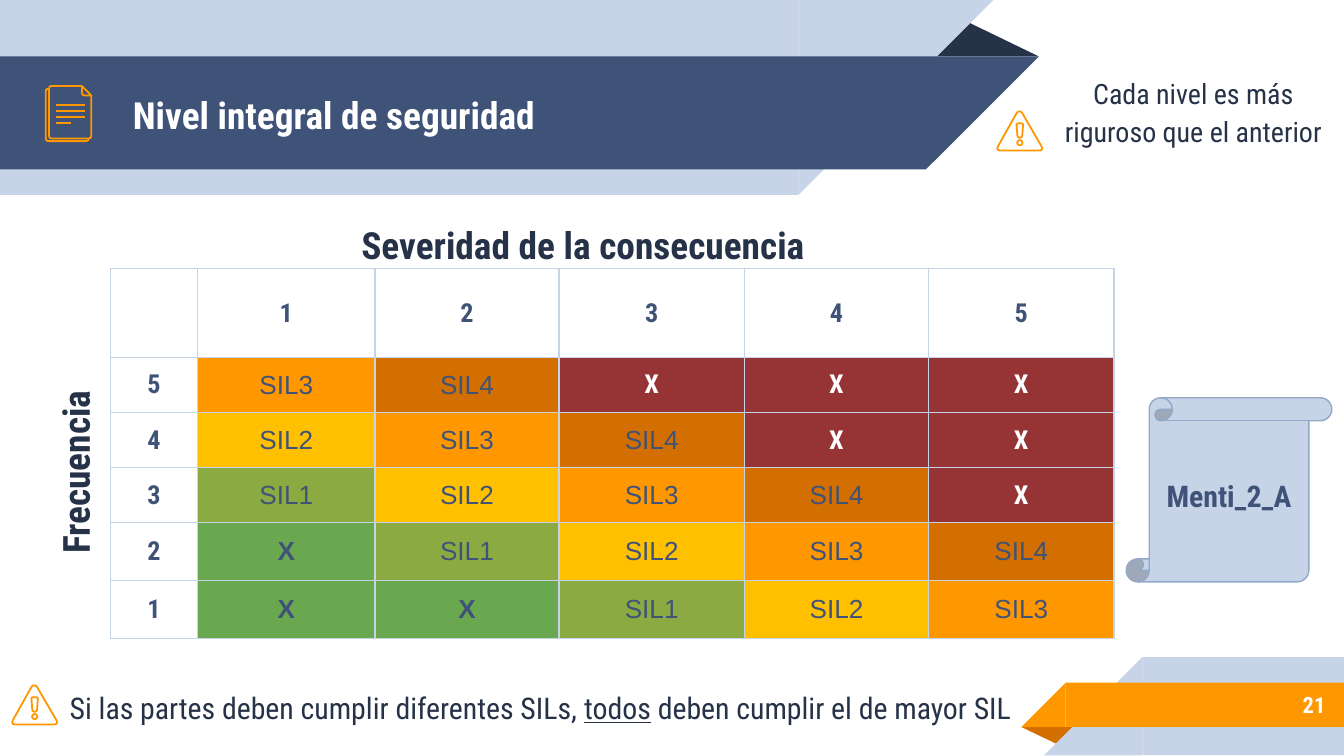
import math

from lxml import etree
from pptx import Presentation
from pptx.dml.color import RGBColor
from pptx.enum import shapes, text
from pptx.oxml import ns
from pptx.util import Inches, Pt

NAVY = RGBColor(0x26, 0x32, 0x48)
BLUE = RGBColor(0x3F, 0x53, 0x78)
PALE = RGBColor(0xC7, 0xD3, 0xE6)
SCROLL_EDGE = RGBColor(0x92, 0xA8, 0xC8)
ORANGE = RGBColor(0xFF, 0x98, 0x00)
DARK_ORANGE = RGBColor(0xD2, 0x6F, 0x00)
YELLOW = RGBColor(0xFF, 0xC0, 0x00)
OLIVE = RGBColor(0x8B, 0xAB, 0x42)
GREEN = RGBColor(0x6A, 0xA8, 0x4F)
RED = RGBColor(0x96, 0x33, 0x34)
WHITE = RGBColor(0xFF, 0xFF, 0xFF)

CONDENSED = "Roboto Condensed"
LEVEL_FILLS = {1: OLIVE, 2: YELLOW, 3: ORANGE, 4: DARK_ORANGE}
COLUMN_WIDTHS = [0.65, 1.32, 1.37, 1.38, 1.37, 1.38]
ROW_HEIGHTS = [0.66, 0.41, 0.41, 0.41, 0.43, 0.43]
LEFT, CENTER, RIGHT = text.PP_ALIGN.LEFT, text.PP_ALIGN.CENTER, text.PP_ALIGN.RIGHT
TOP, MIDDLE = text.MSO_ANCHOR.TOP, text.MSO_ANCHOR.MIDDLE


def add_run(paragraph, words, size, color, bold=False, font=CONDENSED, underline=None):
    run = paragraph.add_run()
    run.text = words
    run.font.size = Pt(size)
    run.font.name = font
    run.font.bold = bold
    run.font.underline = underline
    run.font.color.rgb = color


def prepare_frame(frame, align, anchor):
    frame.word_wrap = True
    frame.vertical_anchor = anchor
    frame.margin_left = frame.margin_right = Inches(0.1)
    frame.margin_top = frame.margin_bottom = Inches(0.1)
    frame.paragraphs[0].alignment = align
    return frame.paragraphs[0]


def add_text(slide, box, runs, size, color, bold=False, align=LEFT, anchor=TOP, spacing=1.15, rotation=0):
    shape = slide.shapes.add_textbox(*map(Inches, box))
    shape.rotation = rotation
    paragraph = prepare_frame(shape.text_frame, align, anchor)
    paragraph.line_spacing = spacing
    for words, underline in runs:
        add_run(paragraph, words, size, color, bold, underline=underline)


def add_filled(slide, kind, box, color, rotation=0, flipped=False):
    shape = slide.shapes.add_shape(kind, *map(Inches, box))
    shape.shadow.inherit = False
    shape.fill.solid()
    shape.fill.fore_color.rgb = color
    shape.line.fill.background()
    shape.rotation = rotation
    if flipped:
        shape.element.spPr.find(ns.qn("a:xfrm")).set("flipH", "1")
    return shape


def add_fold(slide, box, color, rotation=0):
    fold = add_filled(slide, shapes.MSO_SHAPE.ISOSCELES_TRIANGLE, box, color, rotation)
    fold.adjustments[0] = 0.32


def add_ribbon(slide, box, color, slant_right):
    left, top, width, height = box
    body_left = left if slant_right else left + height
    slant_left = left + width - height if slant_right else left
    add_filled(slide, shapes.MSO_SHAPE.RECTANGLE, (body_left, top, width - height, height), color)
    add_filled(slide, shapes.MSO_SHAPE.RIGHT_TRIANGLE, (slant_left, top, height, height), color,
               180 if slant_right else 0, True)


def add_outline(slide, box, contours, closed=True):
    left, top = box[:2]
    placed = [[(Inches(left + x / 100), Inches(top + y / 100)) for x, y in contour] for contour in contours]
    builder = slide.shapes.build_freeform(*placed[0][0], scale=1.0)
    builder.add_line_segments(placed[0][1:], close=closed)
    for contour in placed[1:]:
        builder.move_to(*contour[0])
        builder.add_line_segments(contour[1:], close=closed)
    shape = builder.convert_to_shape()
    shape.shadow.inherit = False
    shape.fill.background()
    shape.line.color.rgb = ORANGE
    shape.line.width = Pt(0.96)


def add_warning_icon(slide, box):
    triangle = [(33, 26), (18.5, 1), (17.5, 0), (15.5, 0), (14.5, 1), (0.5, 26), (0, 27.5),
                (0.5, 28.5), (2, 29), (31.5, 29), (33, 28.5), (33.5, 27.5)]
    bar = [(14.4, 9.8), (15, 18), (15.6, 19.2), (16.8, 19.6), (18, 19.2), (18.6, 18),
           (19.2, 9.8), (18.8, 9), (18, 8.8), (15.6, 8.8), (14.8, 9)]
    dot = [(16.8 + 1.9 * math.cos(step * math.pi / 8), 23.2 + 1.9 * math.sin(step * math.pi / 8))
           for step in range(16)]
    add_outline(slide, box, [triangle, dot, bar])


def add_document_icon(slide, box):
    left, top = box[:2]
    back_page = [(32, 39), (31.5, 40.5), (30, 41), (2, 41), (0.5, 40.5), (0, 39),
                 (0, 4), (0.5, 2.5), (2, 2)]
    front_page = [(34, 7), (34, 37), (33.5, 38.5), (32, 39), (4, 39), (3, 38.5), (2.5, 37),
                  (2.5, 2), (3, 0.5), (4, 0), (27, 0)]
    corner = [(27, 0), (34, 7), (29, 7), (27.5, 6.5), (27, 5)]
    add_outline(slide, box, [back_page], closed=False)
    add_outline(slide, box, [front_page], closed=False)
    for index, width in enumerate([0.21, 0.21, 0.21, 0.11]):
        y = Inches(top + 0.14 + 0.045 * index)
        line = slide.shapes.add_connector(shapes.MSO_CONNECTOR.STRAIGHT, Inches(left + 0.08), y,
                                          Inches(left + 0.08 + width), y)
        line.line.color.rgb = ORANGE
        line.line.width = Pt(0.96)
        etree.SubElement(line.element.spPr, ns.qn("a:effectLst"))
    add_outline(slide, box, [corner])


def add_header(slide, box):
    left, top, width, height = box
    add_fold(slide, (left + 6.88, top + 0.14, 0.85, 0.28), NAVY)
    add_ribbon(slide, (left, top, 7.39, height), PALE, True)
    add_ribbon(slide, (left, top + 0.42, width, 0.84), BLUE, True)
    add_text(slide, (left + 0.89, top + 0.43, 5.75, 0.84), [("Nivel integral de seguridad", None)],
             20, WHITE, True, anchor=MIDDLE, spacing=1)
    add_document_icon(slide, (left + 0.34, top + 0.64))


def add_footer(slide, box):
    left, top, width, height = box
    add_fold(slide, (left, top + 0.52, 0.43, 0.14), DARK_ORANGE, 180)
    add_ribbon(slide, (left + 0.17, top, width - 0.17, height), PALE, False)
    add_ribbon(slide, (left, top + 0.19, width, 0.33), ORANGE, False)
    add_text(slide, (left + 0.73, top + 0.18, 1.63, 0.35), [("21", None)], 12, WHITE, True,
             RIGHT, MIDDLE, 1)


def add_side_note(slide, box):
    left, top, width, height = box
    add_warning_icon(slide, (left, top + 0.4))
    add_text(slide, (left + 0.38, top, width - 0.38, height),
             [("Cada nivel es más riguroso que el anterior", None)], 15, NAVY, align=CENTER)


def add_bottom_note(slide, box):
    left, top, width, height = box
    add_text(slide, (left + 0.33, top, width - 0.33, height),
             [("Si las partes deben cumplir diferentes SILs, ", None), ("todos", True),
              (" deben cumplir el de mayor SIL", None)], 16, NAVY)
    add_warning_icon(slide, (left, top + 0.11))


def add_borders(cell):
    properties = cell._tc.get_or_add_tcPr()
    for side in ("lnL", "lnR", "lnT", "lnB"):
        border = etree.SubElement(properties, ns.qn("a:" + side), w=str(Pt(0.75)))
        fill = etree.SubElement(border, ns.qn("a:solidFill"))
        etree.SubElement(fill, ns.qn("a:srgbClr"), val=str(PALE))


def style_cell(cell, words, fill, color=BLUE, bold=True, font=CONDENSED):
    add_borders(cell)
    cell.vertical_anchor = MIDDLE
    cell.margin_left = cell.margin_right = Inches(0.1)
    cell.margin_top = cell.margin_bottom = Inches(0.07)
    if fill is None:
        cell.fill.background()
    else:
        cell.fill.solid()
        cell.fill.fore_color.rgb = fill
    if words:
        paragraph = cell.text_frame.paragraphs[0]
        paragraph.alignment = CENTER
        add_run(paragraph, words, 14, color, bold, font)


def add_risk_matrix(slide, box):
    left, top, width, height = box
    add_text(slide, (left - 1.15, top + 1.11, 1.68, 0.54), [("Frecuencia", None)], 20, NAVY, True, rotation=270)
    add_text(slide, (left + 1.77, top - 0.5, 4.06, 0.54), [("Severidad de la consecuencia", None)], 20, NAVY, True)
    table = slide.shapes.add_table(6, 6, *map(Inches, box)).table
    table.first_row = table.horz_banding = False
    for column, size in zip(table.columns, COLUMN_WIDTHS):
        column.width = Inches(size)
    for row, size in zip(table.rows, ROW_HEIGHTS):
        row.height = Inches(size)
    style_cell(table.cell(0, 0), "", None)
    for index in range(1, 6):
        frequency = 6 - index
        style_cell(table.cell(0, index), str(index), None)
        style_cell(table.cell(index, 0), str(frequency), None)
        for severity in range(1, 6):
            cell = table.cell(index, severity)
            level = frequency + severity - 3
            if level > 4:
                style_cell(cell, "X", RED, WHITE)
            elif level < 1:
                style_cell(cell, "X", GREEN, font="Arial")
            else:
                style_cell(cell, f"SIL{level}", LEVEL_FILLS[level], bold=False, font="Arial")


def add_scroll(slide, box):
    scroll = add_filled(slide, shapes.MSO_SHAPE.VERTICAL_SCROLL, box, PALE)
    scroll.line.color.rgb = SCROLL_EDGE
    scroll.line.width = Pt(0.75)
    paragraph = prepare_frame(scroll.text_frame, CENTER, MIDDLE)
    add_run(paragraph, "Menti_2_A", 16, BLUE, True)


def main():
    presentation = Presentation()
    presentation.slide_width = Inches(10)
    presentation.slide_height = Inches(10) * 9 // 16
    slide = presentation.slides.add_slide(presentation.slide_layouts[6])
    add_header(slide, (0, 0, 7.73, 1.45))
    add_footer(slide, (7.6, 4.89, 2.4, 0.73))
    add_bottom_note(slide, (0.09, 4.99, 7.59, 0.51))
    add_side_note(slide, (7.42, 0.43, 2.54, 1.07))
    add_risk_matrix(slide, (0.82, 2, sum(COLUMN_WIDTHS), sum(ROW_HEIGHTS)))
    add_scroll(slide, (8.38, 2.96, 1.53, 1.37))
    presentation.save("out.pptx")


if __name__ == "__main__":
    main()
